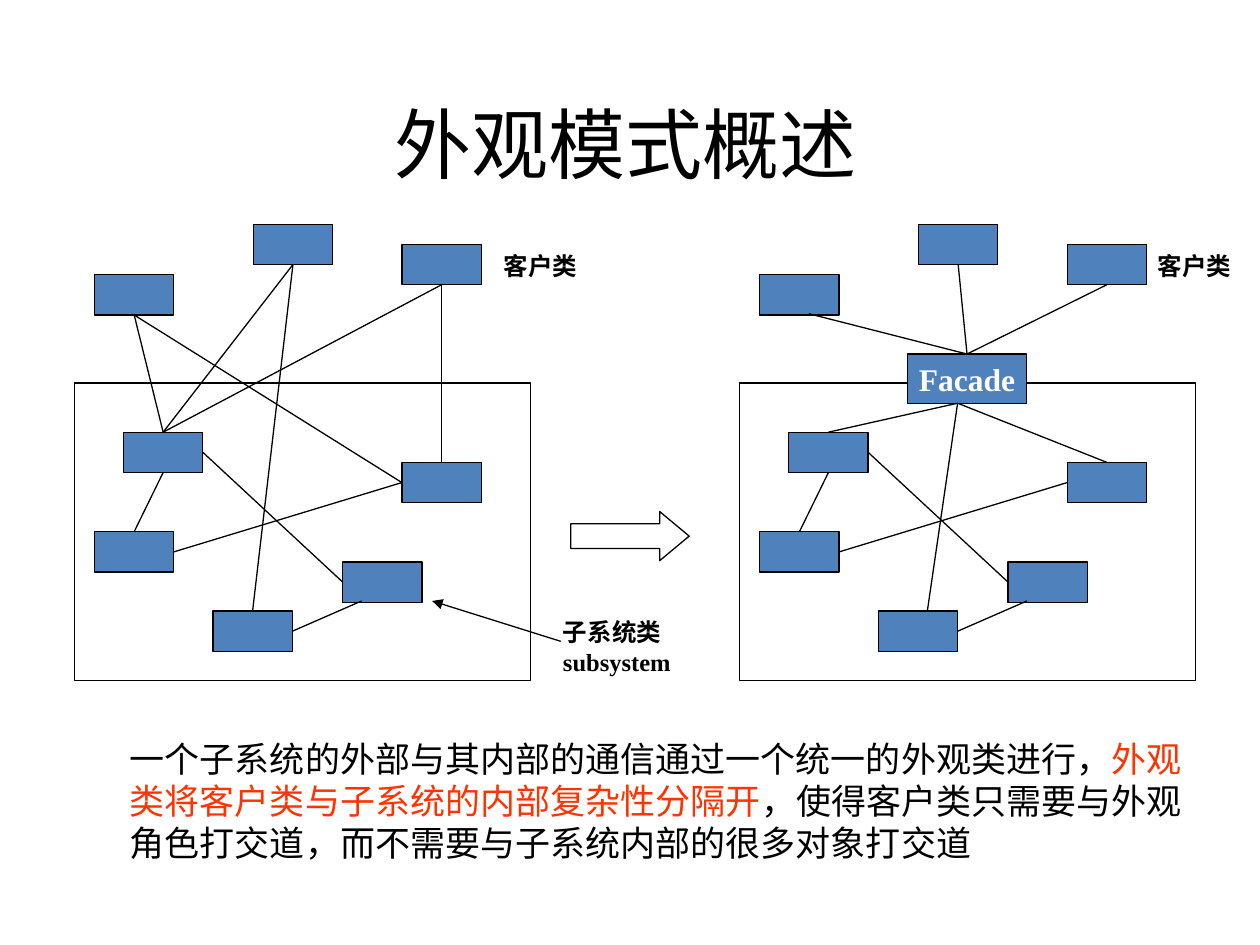
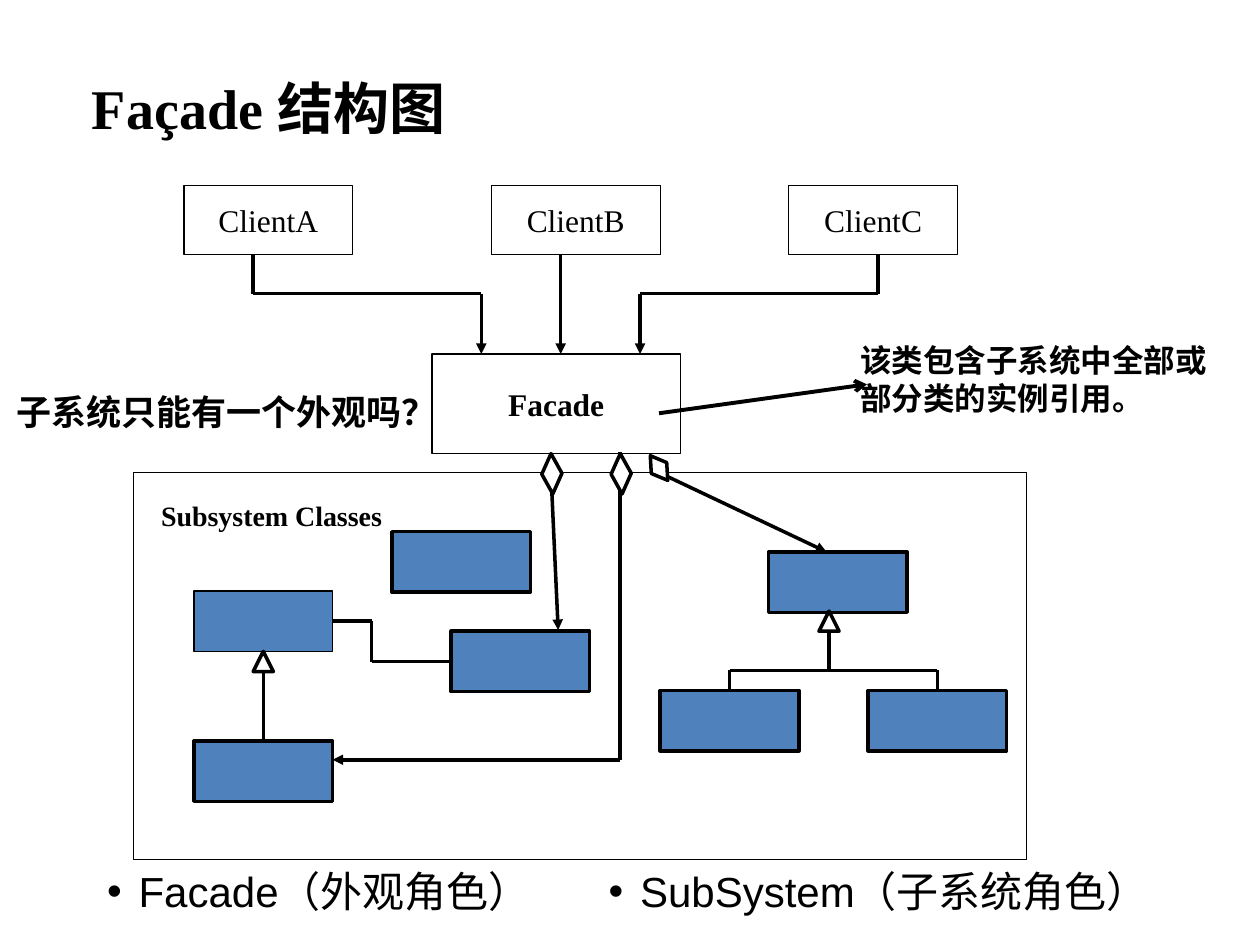
from lxml import etree
from pptx import Presentation
from pptx import util as u
from pptx.dml.color import RGBColor
from pptx.enum import shapes, text
from pptx.oxml import ns

COLOURS = {"ink": "000000", "class": "4F81BD", "paper": "FFFFFF", "accent": "FF3300"}
SERIF, SANS, TITLE_FONT = "Times New Roman", "Arial", "Calibri"
THIN, THICK = 0.75, 2
TOP, LEFT, BOTTOM, RIGHT = range(4)
KIND = shapes.MSO_SHAPE

# Overview slide: the same system before and after a facade is added
CLASS_SIZE = (0.63, 0.32)
PANEL = (0.59, 3.04, 3.62, 2.36)
PANEL_SHIFT = 5.28
CLASSES = {
    "client 1": (0.75, 2.18), "client 2": (2.01, 1.78), "client 3": (3.19, 1.94),
    "upper": (0.98, 3.43), "lowest": (1.69, 4.85), "lower": (0.75, 4.22),
    "inner": (2.72, 4.46), "right": (3.19, 3.67),
}
# A link end is a (class name, side) pair or a plain point
INNER_LINKS = [
    (("lowest", RIGHT), (2.87, 4.77)),
    (("lower", RIGHT), ("right", LEFT)),
    (("lower", TOP), ("upper", BOTTOM)),
    (("inner", LEFT), ("upper", RIGHT)),
]
DIRECT_LINKS = [
    (("client 1", BOTTOM), ("upper", TOP)),
    (("client 1", BOTTOM), ("right", LEFT)),
    (("client 2", BOTTOM), ("upper", TOP)),
    (("client 2", BOTTOM), ("lowest", TOP)),
    (("client 3", BOTTOM), ("upper", TOP)),
    (("client 3", BOTTOM), ("right", TOP)),
]
FACADE_FOOT = (7.6, 3.2)
FACADE_LINKS = [
    ((6.42, 2.49), ("facade", TOP)),
    (("client 2", BOTTOM), ("facade", TOP)),
    (("client 3", BOTTOM), ("facade", TOP)),
    (FACADE_FOOT, ("upper", TOP)),
    (FACADE_FOOT, (7.36, 4.85)),
    (FACADE_FOOT, ("right", TOP)),
]
OVERVIEW_LABELS = [
    ((3.9, 1.94, 0.87, 0.34), ["客户类"]),
    ((9.09, 1.94, 0.87, 0.34), ["客户类"]),
    ((4.37, 4.85, 1.2, 0.57), ["子系统类", "subsystem"]),
]
SUMMARY = [
    ("一个子系统的外部与其内部的通信通过一个统一的外观类进行，", "ink"),
    ("外观类将客户类与子系统的内部复杂性分隔开", "accent"),
    ("，使得客户类只需要与外观角色打交道，而不需要与子系统内部的很多对象打交道", "ink"),
]

# Structure slide
CLIENTS = {"ClientA": 1.46, "ClientB": 3.9, "ClientC": 6.26}
SUBSYSTEM_SIZE = (1.1, 0.48)
SUBSYSTEM = {
    "parent": (1.54, 4.69), "child": (1.54, 5.88), "single": (3.11, 4.22),
    "partner": (3.58, 5.01), "root": (6.1, 4.38),
    "branch 1": (5.24, 5.48), "branch 2": (6.89, 5.48),
}
PLAIN_ROUTES = [
    [(2.09, 5.32), ("child", TOP)],
    [("parent", RIGHT), (2.95, 4.93), (2.95, 5.25), ("partner", LEFT)],
    [("branch 1", TOP), (5.79, 5.32), (7.44, 5.32), ("branch 2", TOP)],
    [(6.58, 5.32), (6.58, 5.01)],
]
ARROW_ROUTES = [
    [(2.01, 2.02), (2.01, 2.33), (3.82, 2.33), (3.82, 2.81)],
    [(4.45, 2.02), (4.45, 2.81)],
    [(6.97, 2.02), (6.97, 2.33), (5.08, 2.33), (5.08, 2.81)],
    [(4.38, 3.91), (4.43, 5)],
    [(4.92, 3.59), (4.92, 6.03), (2.64, 6.03)],
    [(5.23, 3.75), (6.56, 4.38)],
]
MARKERS = [
    (KIND.ISOSCELES_TRIANGLE, (2.01, 5.17, 0.16, 0.16), 0),
    (KIND.ISOSCELES_TRIANGLE, (6.5, 4.85, 0.16, 0.16), 0),
    (KIND.FLOWCHART_DECISION, (4.22, 3.68, 0.32, 0.16), 87.5),
    (KIND.FLOWCHART_DECISION, (4.77, 3.68, 0.32, 0.16), 87.5),
    (KIND.FLOWCHART_DECISION, (5.11, 3.64, 0.24, 0.15), 54.7),
]
STRUCTURE_LABELS = [
    ((1.18, 3.91, 2.2, 0.37), ["Subsystem Classes"], 16, SERIF),
    ((6.73, 2.66, 3.15, 0.7), ["该类包含子系统中全部或", "部分类的实例引用。"], 18, SANS),
    ((0.03, 3.05, 3.7, 0.44), ["子系统只能有一个外观吗？"], 20, SANS),
]
ROLES = [
    ((0, 6.82, 4.51, 0.5), "Facade（外观角色）"),
    ((3.98, 6.82, 6.02, 0.5), "SubSystem（子系统角色）"),
]


def rgb(name):
    return RGBColor.from_string(COLOURS[name])


def inches(values):
    return [u.Inches(value) for value in values]


def add_span(para, words, size, font, colour="ink", bold=False):
    span = para.add_run()
    span.text = words
    for key, value in {"size": u.Pt(size), "name": font, "bold": bold}.items():
        setattr(span.font, key, value)
    span.font.color.rgb = rgb(colour)


def add_box(page, area, fill=None, line=THIN, kind=KIND.RECTANGLE):
    box = page.shapes.add_shape(kind, *inches(area))
    box.shadow.inherit = False
    if fill:
        box.fill.solid()
        box.fill.fore_color.rgb = rgb(fill)
    else:
        box.fill.background()
    box.line.color.rgb = rgb("ink")
    box.line.width = u.Pt(line)
    return box


def write_in_box(box, words, colour="ink", bold=False):
    frame = box.text_frame
    frame.word_wrap = False
    frame.vertical_anchor = text.MSO_ANCHOR.MIDDLE
    para = frame.paragraphs[0]
    para.alignment = text.PP_ALIGN.CENTER
    add_span(para, words, 18, SERIF, colour, bold)


def add_label(page, area, lines, size=14, font=SERIF):
    frame = page.shapes.add_textbox(*inches(area)).text_frame
    frame.word_wrap = True
    frame.auto_size = text.MSO_AUTO_SIZE.NONE
    for number, words in enumerate(lines):
        para = frame.add_paragraph() if number else frame.paragraphs[0]
        add_span(para, words, size, font, bold=True)


def add_link(page, start, end, boxes, line=THIN, head=None):
    """Draw a straight line; an end named after a box is joined to its side."""
    ends = [(0, 0) if point[0] in boxes else point for point in (start, end)]
    link = page.shapes.add_connector(
        shapes.MSO_CONNECTOR.STRAIGHT, *inches(ends[0] + ends[1]))
    for point, connect in ((start, link.begin_connect), (end, link.end_connect)):
        if point[0] in boxes:
            connect(boxes[point[0]], point[1])
    link.line.color.rgb = rgb("ink")
    link.line.width = u.Pt(line)
    if head:
        outline = link._element.spPr.find(ns.qn("a:ln"))
        etree.SubElement(outline, ns.qn("a:tailEnd"), type=head)
    etree.SubElement(link._element.spPr, ns.qn("a:effectLst"))


def add_route(page, points, boxes, head=None):
    last = len(points) - 2
    for number, (start, end) in enumerate(zip(points, points[1:])):
        add_link(page, start, end, boxes, THICK, head if number == last else None)


def place_holder(holder, area, anchor=text.MSO_ANCHOR.TOP):
    """Move a placeholder and return its first paragraph, left aligned."""
    for key, value in zip(("left", "top", "width", "height"), inches(area)):
        setattr(holder, key, value)
    frame = holder.text_frame
    frame.auto_size = text.MSO_AUTO_SIZE.NONE
    frame.word_wrap = True
    frame.vertical_anchor = anchor
    para = frame.paragraphs[0]
    para.alignment = text.PP_ALIGN.LEFT
    para.space_before = u.Pt(0)
    return para


def set_bullet(para, margin, hang=0, mark=None):
    props = para._p.get_or_add_pPr()
    props.set("marL", str(u.Inches(margin)))
    props.set("indent", str(-u.Inches(hang)))
    if mark:
        etree.SubElement(props, ns.qn("a:buFont"), typeface=SANS)
        etree.SubElement(props, ns.qn("a:buChar"), char=mark)
    else:
        etree.SubElement(props, ns.qn("a:buNone"))


def add_system(page, shift):
    """Draw clients and subsystem, and return the class boxes by name."""
    left, top, width, height = PANEL
    add_box(page, (left + shift, top, width, height))
    return {name: add_box(page, (x + shift, y, *CLASS_SIZE), "class")
            for name, (x, y) in CLASSES.items()}


def shifted(end, shift):
    return end if isinstance(end[0], str) else (end[0] + shift, end[1])


def build_overview(deck):
    page = deck.slides.add_slide(deck.slide_layouts[1])
    title = place_holder(page.shapes.title, (3.03, 0.76, 4.49, 0.75), text.MSO_ANCHOR.MIDDLE)
    add_span(title, "外观模式概述", 44, TITLE_FONT)
    summary = place_holder(page.placeholders[1], (0.43, 5.8, 9.14, 1.1))
    set_bullet(summary, 0.5)
    for words, colour in SUMMARY:
        add_span(summary, words, 20, SANS, colour)

    before = add_system(page, 0)
    after = add_system(page, PANEL_SHIFT)
    after["facade"] = add_box(page, (7.2, 2.81, 0.95, 0.39), "class")
    write_in_box(after["facade"], "Facade", "paper", True)
    for boxes, shift in ((before, 0), (after, PANEL_SHIFT)):
        for start, end in INNER_LINKS:
            add_link(page, start, shifted(end, shift), boxes)
    for boxes, links in ((before, DIRECT_LINKS), (after, FACADE_LINKS)):
        for start, end in links:
            add_link(page, start, end, boxes)

    change = add_box(page, (4.53, 4.06, 0.94, 0.39), kind=KIND.RIGHT_ARROW)
    change.adjustments[1] = 0.6
    add_link(page, (4.45, 5.09), (3.43, 4.77), {}, head="triangle")
    for area, lines in OVERVIEW_LABELS:
        add_label(page, area, lines)


def build_structure(deck):
    page = deck.slides.add_slide(deck.slide_layouts[3])
    title = place_holder(page.shapes.title, (0.63, 0.53, 4, 0.64))
    add_span(title, "Façade 结构图", 32, SERIF, bold=True)
    for holder, (area, words) in zip(list(page.placeholders)[1:], ROLES):
        para = place_holder(holder, area)
        set_bullet(para, 1, 0.25, "•")
        add_span(para, words, 24, SANS)

    for name, left in CLIENTS.items():
        write_in_box(add_box(page, (left, 1.47, 1.34, 0.55)), name)
    add_box(page, (1.06, 3.75, 7.09, 3.07))
    write_in_box(add_box(page, (3.43, 2.81, 1.97, 0.79)), "Facade", bold=True)
    boxes = {name: add_box(page, (*corner, *SUBSYSTEM_SIZE), "class",
                           THIN if name == "parent" else THICK)
             for name, corner in SUBSYSTEM.items()}

    for routes, head in ((PLAIN_ROUTES, None), (ARROW_ROUTES, "triangle")):
        for points in routes:
            add_route(page, points, boxes, head)
    add_link(page, (5.23, 3.28), (6.88, 3.05), {}, 2.25, "arrow")
    for kind, area, turn in MARKERS:
        add_box(page, area, "paper", THICK, kind).rotation = turn
    for label in STRUCTURE_LABELS:
        add_label(page, *label)


def main():
    deck = Presentation()
    deck.slide_width, deck.slide_height = inches((10, 7.5))
    build_overview(deck)
    build_structure(deck)
    deck.save("out.pptx")


if __name__ == "__main__":
    main()
